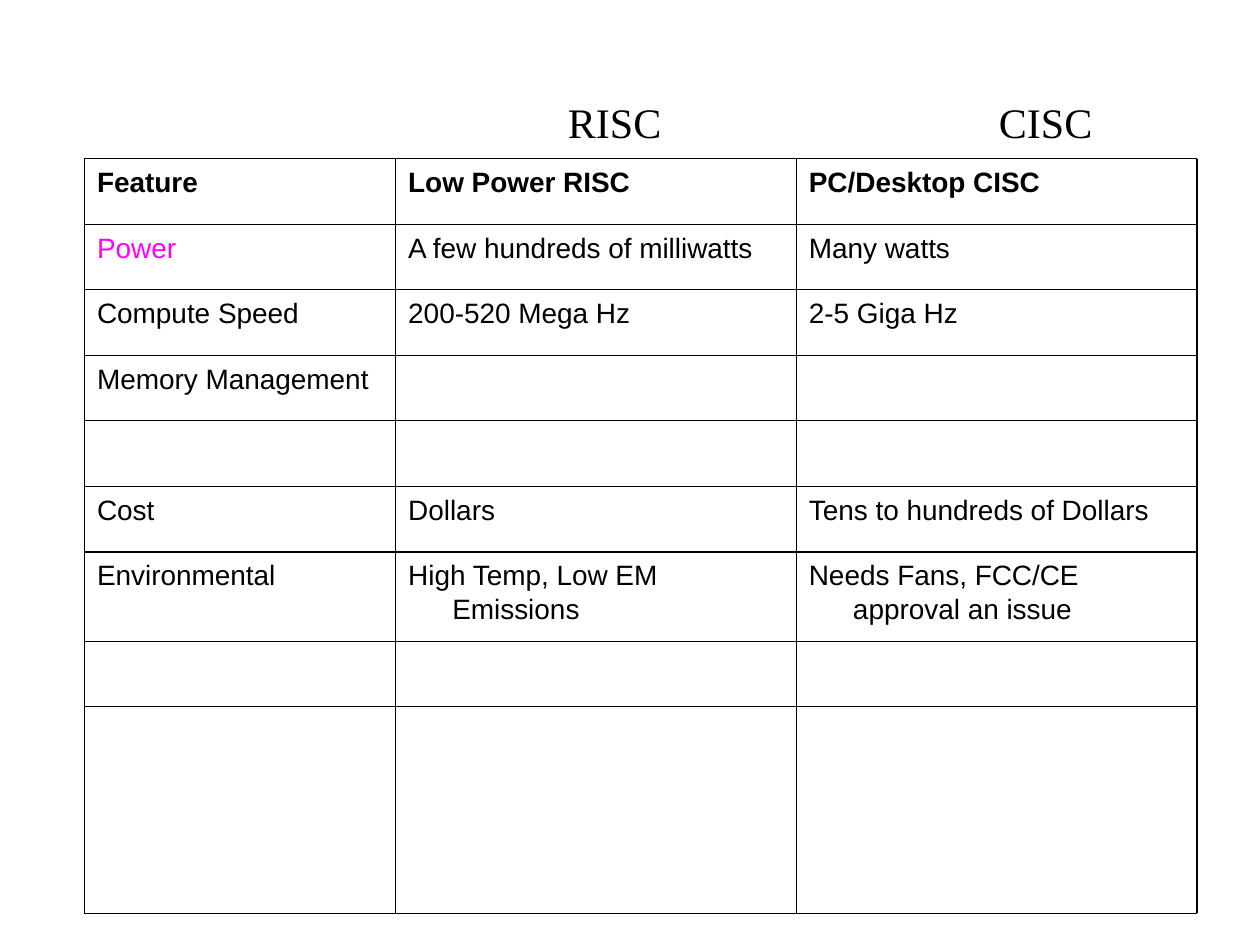
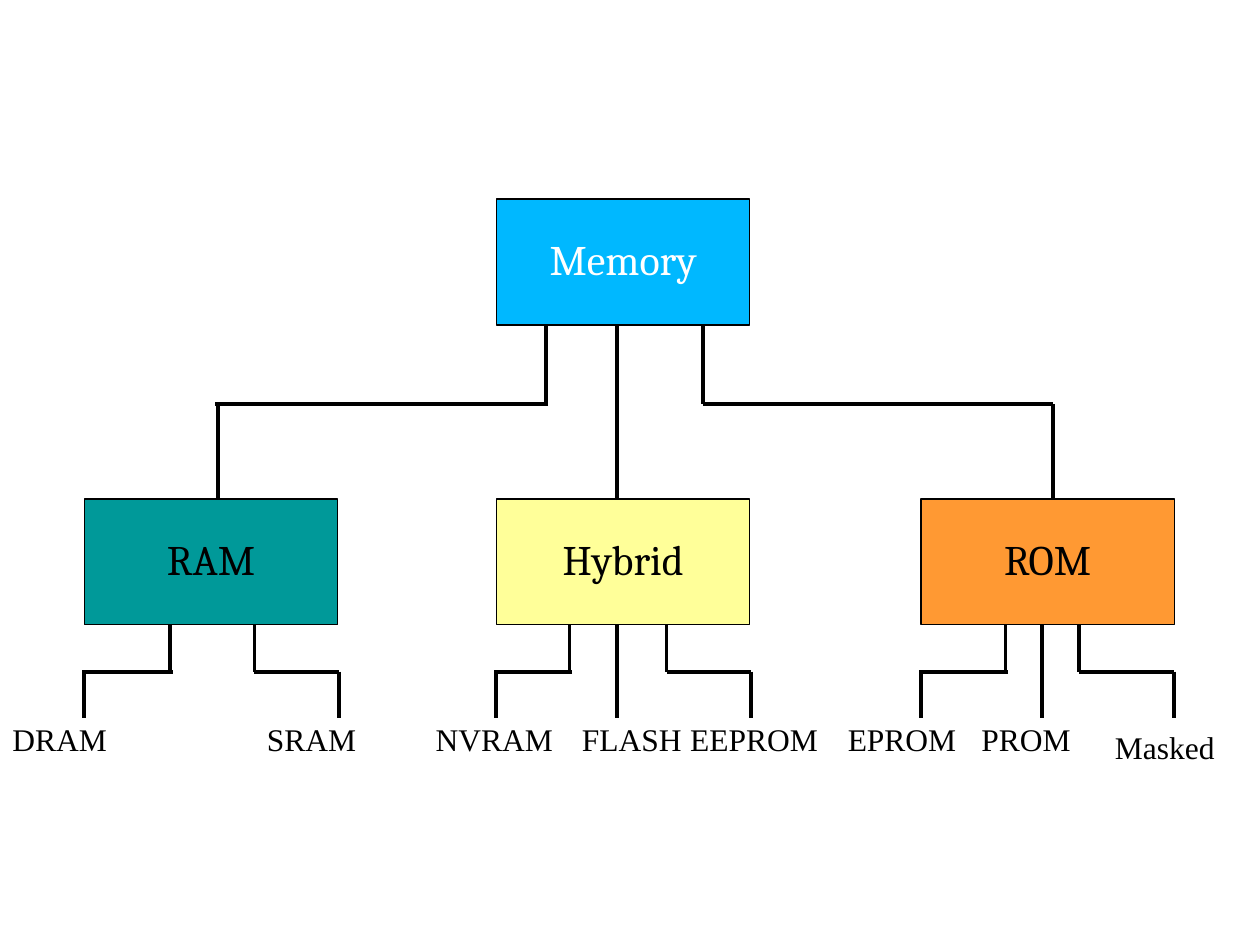
from itertools import accumulate

from lxml import etree
from pptx import Presentation
from pptx.dml.color import RGBColor
from pptx.enum.shapes import MSO_CONNECTOR, MSO_SHAPE
from pptx.enum.text import MSO_ANCHOR, PP_ALIGN
from pptx.oxml.ns import qn
from pptx.util import Inches, Pt

LINE, RECT = MSO_CONNECTOR.STRAIGHT, MSO_SHAPE.RECTANGLE
MIDDLE, CENTER = MSO_ANCHOR.MIDDLE, PP_ALIGN.CENTER
PLAIN = "{2D5ABB26-0587-4C30-8999-92F81FD0307C}"  # table style without grid

HUES = {
    "black": "000000",
    "white": "FFFFFF",
    "pink": "FF00FF",
    "blue": "00B8FF",
    "teal": "009999",
    "yellow": "FFFF99",
    "orange": "FF9933",
}
INK = {name: RGBColor.from_string(code) for name, code in HUES.items()}
CELL = {"name": "Arial", "size": Pt(16)}
HEAD = {"name": "Times New Roman", "size": Pt(24)}
NODE = {"name": "Cambria", "size": Pt(24)}
LEAF = {"name": "Times New Roman", "size": Pt(18)}


def write(frame, text, style, ink, space):
    para = frame.paragraphs[0]
    para.text = text
    para.line_spacing = space
    for key, value in style.items():
        setattr(para.font, key, value)
    para.font.color.rgb = INK[ink]
    return para


def rule(slide, ends, weight):
    """Draw a black line from ends[:2] to ends[2:], in inches."""
    line = slide.shapes.add_connector(LINE, *map(Inches, ends))
    line.line.color.rgb = INK["black"]
    line.line.width = Pt(weight)
    etree.SubElement(line._element.spPr, qn("a:effectLst"))


deck = Presentation()
deck.slide_width, deck.slide_height = Inches(10), Inches(7.5)
blank = deck.slide_layouts[6]
chart, tree = [deck.slides.add_slide(blank) for _ in range(2)]

# Slide 1: RISC and CISC compared
rows = [
    ("Feature", "Low Power RISC", "PC/Desktop CISC"),
    ("Power", "A few hundreds of milliwatts", "Many watts"),
    ("Compute Speed", "200-520 Mega Hz", "2-5 Giga Hz"),
    ("Memory Management", "", ""),
    ("", "", ""),
    ("Cost", "Dollars", "Tens to hundreds of Dollars"),
    ("Environmental", "High Temp, Low EM Emissions", "Needs Fans, FCC/CE approval an issue"),
    ("", "", ""),
    ("", "", ""),
]
widths = [2.47, 3.18, 3.18]
heights = [0.52] * 6 + [0.71, 0.52, 1.64]
xs = list(accumulate(widths, initial=0.67))
ys = list(accumulate(heights, initial=1.26))
size = (xs[0], ys[0], sum(widths), sum(heights))
frame = chart.shapes.add_table(len(rows), len(widths), *map(Inches, size))
grid = frame.table
grid.first_row = grid.horz_banding = False
grid._tbl.tblPr.find(qn("a:tableStyleId")).text = PLAIN
for col, width in zip(grid.columns, widths):
    col.width = Inches(width)
for row, height in zip(grid.rows, heights):
    row.height = Inches(height)

for r, row in enumerate(rows):
    for c, text in enumerate(row):
        cell = grid.cell(r, c)
        cell.fill.background()
        ink = "pink" if text == "Power" else "black"
        para = write(cell.text_frame, text, CELL | {"bold": r == 0}, ink, 1.08)
        props = para._p.get_or_add_pPr()
        props.set("marL", str(Inches(0.35)))
        props.set("indent", str(-Inches(0.35)))

for y in ys:
    rule(chart, (xs[0], y, xs[-1], y), 0.75)
for x in xs:
    rule(chart, (x, ys[0], x, ys[-1]), 0.75)

# Slide 2: tree of memory types
wide, high = 2.01, 1
root, kids, leaves = 1.58, 3.96, 5.7
nodes = [
    ("Memory", 3.94, root, "blue", "white"),
    ("Hybrid", 3.94, kids, "yellow", "black"),
    ("ROM", 7.31, kids, "orange", "black"),
    ("RAM", 0.67, kids, "teal", "black"),
]
for text, left, top, fill, ink in nodes:
    box = tree.shapes.add_shape(RECT, *map(Inches, (left, top, wide, high)))
    box.shadow.inherit = False
    box.fill.solid()
    box.fill.fore_color.rgb = INK[fill]
    box.line.color.rgb = INK["black"]
    box.line.width = Pt(0.75)
    box.text_frame.word_wrap = False
    box.text_frame.vertical_anchor = MIDDLE
    write(box.text_frame, text, NODE, ink, 0.87).alignment = CENTER

# Each branch runs from a stem under the parent to a foot above the child
tiers = [
    (root + high, 3.21, kids, [(4.33, 1.73), (4.9, 4.9), (5.58, 8.36)]),
    (kids + high, 5.33, leaves, [
        (1.35, 0.67), (2.02, 2.69),
        (4.52, 3.94), (4.9, 4.9), (5.29, 5.96),
        (7.98, 7.31), (8.27, 8.27), (8.56, 9.32),
    ]),
]
for top, bend, end, pairs in tiers:
    for stem, foot in pairs:
        lap = 0.02 if foot < stem else 0
        parts = [(stem, top, stem, bend), (stem + lap, bend, foot - lap, bend),
                 (foot, bend, foot, end)]
        if stem == foot:
            parts = [(stem, top, foot, end)]
        for ends in parts:
            rule(tree, ends, 2.25)

# Labels of both slides
labels = [
    (chart, HEAD, 0.93, 0.47, [("RISC", 4.41, 0.75, 1), ("CISC", 7.83, 0.75, 1)]),
    (tree, LEAF, 0.87, 0.36, [
        ("DRAM", 0, 5.71, 1.25), ("SRAM", 2.02, 5.71, 1.25),
        ("NVRAM", 3.36, 5.71, 1.34), ("FLASH", 4.52, 5.71, 1.25),
        ("EEPROM", 5.38, 5.71, 1.44), ("EPROM", 6.63, 5.71, 1.25),
        ("PROM", 7.69, 5.71, 1.25), ("Masked", 8.75, 5.77, 1.25),
    ]),
]
for slide, style, space, height, items in labels:
    for text, left, top, width in items:
        box = slide.shapes.add_textbox(*map(Inches, (left, top, width, height)))
        box.text_frame.word_wrap = True
        write(box.text_frame, text, style, "black", space)

deck.save("out.pptx")
